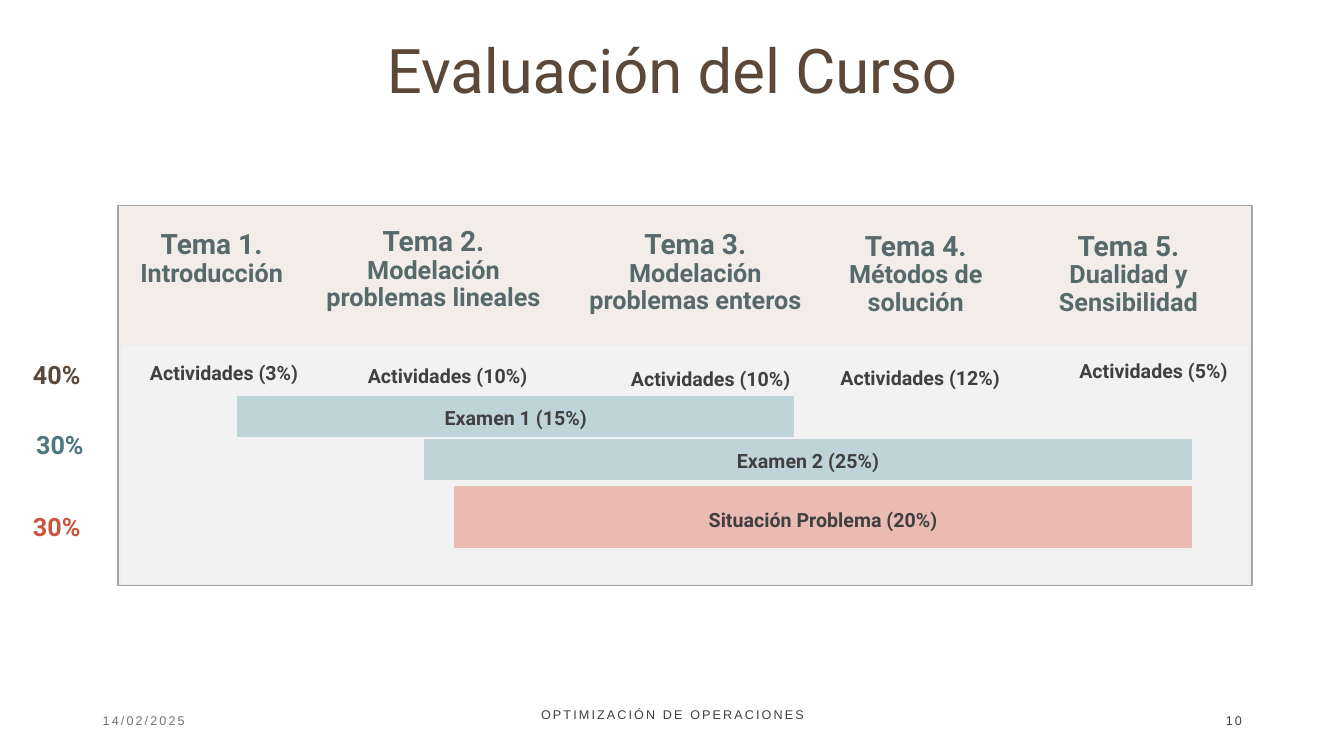
from pptx import Presentation as Deck
from pptx.dml.color import RGBColor as Rgb
from pptx.enum.shapes import MSO_SHAPE as Kind
from pptx.enum.text import MSO_ANCHOR as Anchor, MSO_AUTO_SIZE as Fit, PP_ALIGN as Align
from pptx.util import Cm, Pt

HUES = {
    "panel": "F3EDEA", "edge": "A6A6A6", "body": "F2F2F2",
    "brown": "5B4839", "slate": "58696B", "ink": "404040", "grey": "767171",
    "teal": "4C7680", "red": "CA553E", "exam": "BFD4D9", "task": "EABBB2",
}


def hue(name):
    return Rgb.from_string(HUES[name])


def dress(item, **form):
    for key, value in form.items():
        setattr(item, key, value)


class Page:
    """Holds the text style and the current slide."""

    def __init__(self, deck):
        self.slide = deck.slides.add_slide(deck.slide_layouts[5])
        self.shapes = self.slide.shapes
        self.face = "Roboto"

    def label(self, shape, runs, align=Align.LEFT, lead=None, anchor=Anchor.TOP,
              wrap=True, fit=Fit.NONE, bold=True, face=None, track=0):
        """Fill a shape with one paragraph; runs are (text, size, colour)."""
        frame = shape.text_frame
        dress(frame, word_wrap=wrap, auto_size=fit, vertical_anchor=anchor)
        para = frame.paragraphs[0]
        dress(para, alignment=align, line_spacing=lead, space_before=Pt(0))
        for text, size, color in runs:
            run = para.add_run()
            run.text = text
            dress(run.font, name=face or self.face, size=Pt(size), bold=bold)
            run.font.color.rgb = hue(color)
            if track:
                run._r.get_or_add_rPr().set("spc", str(int(track * 100)))

    def title(self, text, box):
        shape = self.shapes.title
        dress(shape, **dict(zip(("left", "top", "width", "height"), map(Cm, box))))
        self.label(shape, [(text, 44, "brown")], Align.CENTER, 0.9, bold=False)

    def text(self, box, runs, **form):
        self.label(self.shapes.add_textbox(*map(Cm, box)), runs, **form)

    def block(self, box, fill, line=None, width=0.75):
        shape = self.shapes.add_shape(Kind.RECTANGLE, *map(Cm, box))
        shape.shadow.inherit = False
        shape.fill.solid()
        shape.fill.fore_color.rgb = hue(fill)
        if line:
            shape.line.color.rgb = hue(line)
            shape.line.width = Pt(width)
        else:
            shape.line.fill.background()
        return shape

    def bar(self, box, fill, text, anchor=Anchor.TOP):
        shape = self.block(box, fill, fill)
        self.label(shape, [(text, 14, "ink")], Align.CENTER, Pt(20), anchor)

    def foot(self, box, text, align, color="ink"):
        self.text(box, [(text, 9, color)], align=align, anchor=Anchor.MIDDLE,
                  bold=False, face="Arial", track=1.5)


TOPICS = [
    (2.16, 5.69, 6.35, "Introducción"),
    (7.75, 5.61, 6.35, "Modelación problemas lineales"),
    (14.35, 5.69, 6.35, "Modelación problemas enteros"),
    (20.45, 5.72, 5.26, "Métodos de solución"),
    (25.81, 5.72, 5.26, "Dualidad y Sensibilidad"),
]
TASKS = [
    (3.53, 8.86, 5.94, 1.27, 3),
    (9.02, 8.92, 6.35, 0.99, 10),
    (15.65, 9.02, 6.35, 0.99, 10),
    (20.93, 8.99, 6.35, 1.07, 12),
    (26.95, 8.81, 6.35, 1.07, 5),
]
SHARES = [
    (0.58, 8.94, "40%", "brown"),
    (0.66, 10.69, "30%", "teal"),
    (0.58, 12.75, "30%", "red"),
]


def main():
    deck = Deck()
    dress(deck, slide_width=Cm(33.87), slide_height=Cm(19.05))
    page = Page(deck)

    page.title("Evaluación del Curso", (2.34, 0.89, 29.21, 3.68))
    page.block((2.97, 5.18, 28.58, 9.58), "panel", "edge", 1)
    page.block((3.07, 8.71, 28.42, 6.02), "body")

    for num, (left, top, width, name) in enumerate(TOPICS, 1):
        runs = [(f"Tema {num}. ", 20, "slate"), (name, 18, "slate")]
        page.text((left, top, width, 0.99), runs, align=Align.CENTER, lead=0.9)
    for *box, share in TASKS:
        page.text(box, [(f"Actividades ({share}%)", 14, "ink")], lead=Pt(20))
    for left, top, share, color in SHARES:
        page.text((left, top, 1.73, 1.02), [(share, 18, color)],
                  wrap=False, fit=Fit.SHAPE_TO_FIT_TEXT)

    page.bar((5.99, 9.98, 14.02, 1.02), "exam", "Examen 1 (15%)")
    page.bar((10.69, 11.07, 19.35, 1.02), "exam", "Examen 2 (25%)")
    page.bar((11.46, 12.27, 18.57, 1.52), "task", "Situación Problema (20%)",
             Anchor.MIDDLE)

    page.foot((2.34, 17.65, 7.62, 1.02), "14/02/2025", Align.LEFT, "grey")
    page.foot((11.23, 17.5, 11.43, 1.02), "OPTIMIZACIÓN DE OPERACIONES", Align.CENTER)
    page.foot((23.93, 17.65, 7.62, 1.02), "10", Align.RIGHT)

    deck.save("out.pptx")


if __name__ == "__main__":
    main()
